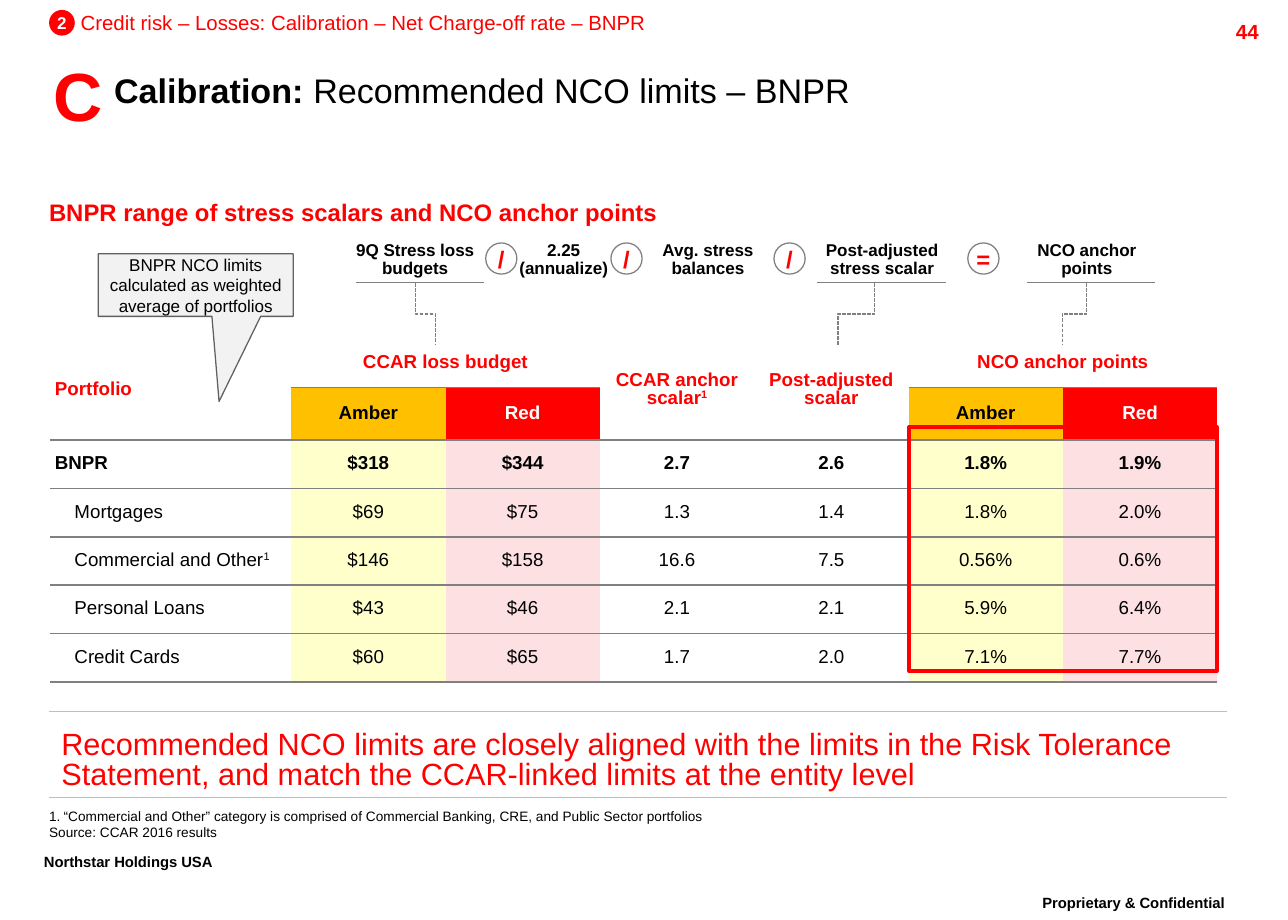
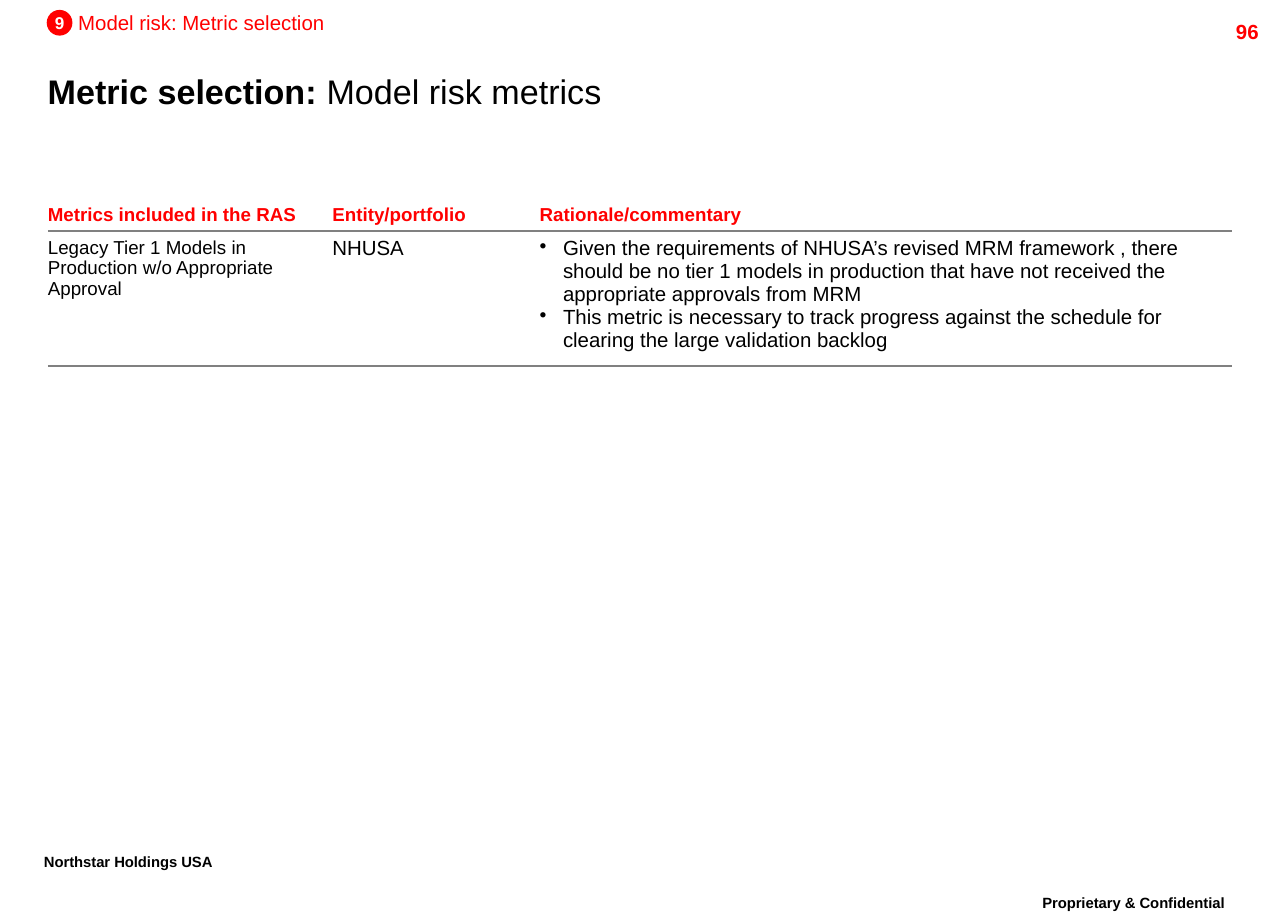
"""Build two risk slides: charge-off limits and model risk metrics."""
from lxml import etree
from pptx import Presentation
from pptx.dml.color import RGBColor
from pptx.enum.dml import MSO_LINE
from pptx.enum.shapes import MSO_CONNECTOR, MSO_SHAPE
from pptx.enum.text import MSO_ANCHOR, PP_ALIGN
from pptx.oxml.ns import qn
from pptx.util import Pt

LEFT, MID, RIGHT = PP_ALIGN.LEFT, PP_ALIGN.CENTER, PP_ALIGN.RIGHT
TOP, MIDDLE, BASE = MSO_ANCHOR.TOP, MSO_ANCHOR.MIDDLE, MSO_ANCHOR.BOTTOM
OVAL, RECT = MSO_SHAPE.OVAL, MSO_SHAPE.RECTANGLE
CALLOUT = MSO_SHAPE.RECTANGULAR_CALLOUT
STRAIGHT, ELBOW = MSO_CONNECTOR.STRAIGHT, MSO_CONNECTOR.ELBOW
DASH = MSO_LINE.SQUARE_DOT

RED = RGBColor(0xFF, 0, 0)
BLACK = RGBColor(0, 0, 0)
WHITE = RGBColor(0xFF, 0xFF, 0xFF)
AMBER = RGBColor(0xFF, 0xC0, 0)
CREAM = RGBColor(0xFF, 0xFF, 0xCC)
PINK = RGBColor(0xFC, 0xE0, 0xE2)
GREY = RGBColor(0x80, 0x80, 0x80)
SILVER = RGBColor(0xBF, 0xBF, 0xBF)
PALE = RGBColor(0xF2, 0xF2, 0xF2)
DARK = RGBColor(0x60, 0x60, 0x60)

FONT = "Arial"
TIGHT = 0.86
NO_STYLE = "{2D5ABB26-0587-4C30-8999-92F81FD0307C}"
INSET = (7.2, 3.6, 7.2, 3.6)
FLUSH = (0, 0, 0, 0)

HEADS = [
    ("Portfolio", 0, 0, 1, 0), ("CCAR loss budget", 0, 1, 0, 2),
    ("CCAR anchor scalar^1", 0, 3, 1, 3), ("Post-adjusted scalar", 0, 4, 1, 4),
    ("NCO anchor points", 0, 5, 0, 6),
]
LEVELS = [(1, "Amber", AMBER, BLACK), (2, "Red", RED, WHITE),
          (5, "Amber", AMBER, BLACK), (6, "Red", RED, WHITE)]
LIMITS = [
    ("BNPR", "$318", "$344", "2.7", "2.6", "1.8%", "1.9%"),
    ("Mortgages", "$69", "$75", "1.3", "1.4", "1.8%", "2.0%"),
    ("Commercial and Other^1", "$146", "$158", "16.6", "7.5", "0.56%", "0.6%"),
    ("Personal Loans", "$43", "$46", "2.1", "2.1", "5.9%", "6.4%"),
    ("Credit Cards", "$60", "$65", "1.7", "2.0", "7.1%", "7.7%"),
]
TINTS = [WHITE, CREAM, PINK, WHITE, WHITE, CREAM, PINK]
TERMS = [
    (192.2, 103, ["9Q Stress loss budgets"]),
    (295.2, 71.3, ["2.25", "(annualize)"]),
    (369.4, 92.2, ["Avg. stress balances"]),
    (471.6, 92.2, ["Post-adjusted stress scalar"]),
    (591.8, 92.2, ["NCO anchor points"]),
]
SIGNS = [(285.1, "/"), (358.6, "/"), (454.3, "/"), (568.1, "=")]
RULES = [208.8, 479.5, 602.6]
LINKS = [(244.1, 255.6), (513.4, 491.8), (637.9, 623.5)]
NOTES = [
    "“Commercial and Other” category is comprised of Commercial Banking, CRE, "
    "and Public Sector portfolios",
    "Source: CCAR 2016 results",
]
CLAIM = ("Recommended NCO limits are closely aligned with the limits in the "
         "Risk Tolerance Statement, and match the CCAR-linked limits at the "
         "entity level")
METRIC_HEADS = ["Metrics included in the RAS", "Entity/portfolio",
                "Rationale/commentary"]
METRICS = [
    (["Legacy Tier 1 Models in Production w/o Appropriate Approval"], 11),
    (["NHUSA"], 12),
    (["Given the requirements of NHUSA’s revised MRM framework , there should "
      "be no tier 1 models in production that have not received the "
      "appropriate approvals from MRM",
      "This metric is necessary to track progress against the schedule for "
      "clearing the large validation backlog"], 12),
]


def write(frame, paras, size, color=BLACK, bold=False, align=LEFT, gap=None):
    for i, text in enumerate(paras):
        par = frame.paragraphs[0] if i == 0 else frame.add_paragraph()
        par.alignment = align
        if gap:
            par.line_spacing = gap
        if isinstance(text, str):
            runs = [(part, bold, k) for k, part in enumerate(text.split("^"))]
        else:
            runs = [(part, heavy, 0) for part, heavy in text]
        for part, heavy, high in runs:
            run = par.add_run()
            run.text = part
            font = run.font
            font.name, font.size, font.bold = FONT, Pt(size), heavy
            font.color.rgb = color
            if high:
                font._element.set("baseline", "30000")


def bullet(par, indent, tag, **attrs):
    props = par._p.get_or_add_pPr()
    props.set("marL", str(Pt(indent)))
    props.set("indent", str(-Pt(indent)))
    etree.SubElement(props, qn(tag), attrs)


def setup(frame, inset, anchor, wrap):
    (frame.margin_left, frame.margin_top, frame.margin_right,
     frame.margin_bottom) = map(Pt, inset)
    frame.vertical_anchor, frame.word_wrap = anchor, wrap


def label(slide, at, paras, size, inset=INSET, anchor=TOP, wrap=True, **look):
    frame = slide.shapes.add_textbox(*map(Pt, at)).text_frame
    setup(frame, inset, anchor, wrap)
    write(frame, paras, size, **look)
    return frame


def shape(slide, kind, at, fill=None, line=None, width=0.75):
    item = slide.shapes.add_shape(kind, *map(Pt, at))
    item.shadow.inherit = False
    if fill is None:
        item.fill.background()
    else:
        item.fill.solid()
        item.fill.fore_color.rgb = fill
    if line is None:
        item.line.fill.background()
    else:
        item.line.color.rgb, item.line.width = line, Pt(width)
    return item


def disc(slide, at, text, size, fill, color, line=None):
    frame = shape(slide, OVAL, at, fill, line).text_frame
    setup(frame, FLUSH, MIDDLE, False)
    write(frame, [text], size, color, True, MID)


def wire(slide, kind, *ends):
    item = slide.shapes.add_connector(kind, *map(Pt, ends))
    item.line.color.rgb, item.line.width = GREY, Pt(0.75)
    etree.SubElement(item._element.spPr, qn("a:effectLst"))
    return item


def drop(slide, x1, y1, x2, y2):
    mid_x, mid_y = (x1 + x2) / 2, (y1 + y2) / 2
    half, side = (y2 - y1) / 2, (x1 - x2) / 2
    item = wire(slide, ELBOW, mid_x - half, mid_y - side,
                mid_x + half, mid_y + side)
    item.line.dash_style = DASH
    item._element.spPr.find(qn("a:xfrm")).set("rot", "5400000")


def grid(slide, x, y, cols, rows):
    frame = slide.shapes.add_table(len(rows), len(cols), Pt(x), Pt(y),
                                   Pt(sum(cols)), Pt(sum(rows)))
    table = frame.table
    table.first_row = table.horz_banding = False
    table._tbl.tblPr.find(qn("a:tableStyleId")).text = NO_STYLE
    for col, size in zip(table.columns, cols):
        col.width = Pt(size)
    for row, size in zip(table.rows, rows):
        row.height = Pt(size)
    return table


def edge(cell, sides, color, width):
    props = cell._tc.get_or_add_tcPr()
    for i, side in enumerate(sides):
        line = etree.Element(qn("a:ln" + side), w=str(Pt(width)))
        fill = etree.SubElement(line, qn("a:solidFill"))
        etree.SubElement(fill, qn("a:srgbClr"), val=str(color))
        props.insert(i, line)


def fill_cell(cell, paras, size, inset, anchor, fill=None, **look):
    (cell.margin_left, cell.margin_top, cell.margin_right,
     cell.margin_bottom) = map(Pt, inset)
    cell.vertical_anchor = anchor
    if fill is None:
        cell.fill.background()
    else:
        cell.fill.solid()
        cell.fill.fore_color.rgb = fill
    write(cell.text_frame, paras, size, **look)


def start(deck, page, mark, x, topic):
    slide = deck.slides.add_slide(deck.slide_layouts[6])
    foot = dict(bold=True, gap=TIGHT)
    label(slide, (586.8, 522, 157, 25.2), ["^Proprietary & Confidential"], 15,
          align=MID, **foot)
    label(slide, (18.7, 497.5, 137.5, 25.2), ["^Northstar Holdings USA"], 15,
          wrap=False, **foot)
    label(slide, (673.9, 7.9, 72, 17.3), [page], 12, color=RED, bold=True,
          align=RIGHT)
    label(slide, (x + 18.5, 5.8, 334, 14.4), [topic], 12, FLUSH, wrap=False,
          color=RED)
    disc(slide, (x, 5.8, 15.1, 15.1), mark, 10, RED, WHITE)
    return slide


def limits(deck):
    slide = start(deck, "44", "2", 28.8,
                  "Credit risk – Losses: Calibration – Net Charge-off rate – BNPR")
    label(slide, (67, 35.3, 643, 34.6),
          [[("Calibration: ", True), ("Recommended NCO limits – BNPR", False)]],
          20, FLUSH, MIDDLE)
    label(slide, (23.8, 28.1, 43.9, 55.4), ["C"], 40, wrap=False, color=RED,
          bold=True, align=MID)
    label(slide, (28.8, 115.9, 444.2, 17.3),
          ["BNPR range of stress scalars and NCO anchor points"], 14, FLUSH,
          color=RED, bold=True)

    table = grid(slide, 29.3, 199.4, [141.6] + [90.6] * 6,
                 [28, 31] + [28.4] * 5)
    pad = (2.9, 2.2, 2.9, 2.2)
    for text, top, left, low, right in HEADS:
        cell = table.cell(top, left)
        cell.merge(table.cell(low, right))
        fill_cell(cell, [text], 11, pad, MIDDLE, color=RED, bold=True,
                  align=MID if left else LEFT, gap=TIGHT)
    for col, text, fill, color in LEVELS:
        fill_cell(table.cell(1, col), [text], 11, pad, MIDDLE, fill,
                  color=color, bold=True, align=MID, gap=TIGHT)
    for r, row in enumerate(LIMITS):
        for c, text in enumerate(row):
            inset = FLUSH if c else (14.4 if r else 2.9, 0, 0, 0)
            fill_cell(table.cell(r + 2, c), [text], 11, inset, MIDDLE,
                      TINTS[c], bold=r == 0, align=MID if c else LEFT,
                      gap=TIGHT)
    for cell in table.iter_cells():
        edge(cell, "B", GREY, 1)

    claim = grid(slide, 28.8, 417.6, [691.2], [50.4]).cell(0, 0)
    fill_cell(claim, [CLAIM], 18, INSET, BASE, color=RED, gap=TIGHT)
    edge(claim, "TB", SILVER, 0.75)
    shape(slide, RECT, (533.5, 250.6, 180.7, 143.3), line=RED, width=2.25)

    note = shape(slide, CALLOUT, (57.6, 149, 114.5, 36.7), PALE, DARK)
    note.adjustments[0], note.adjustments[1] = 0.12, 1.86
    setup(note.text_frame, (5.8,) * 4, MIDDLE, True)
    write(note.text_frame,
          ["BNPR NCO limits calculated as weighted average of portfolios"],
          10, align=MID)

    for x, width, paras in TERMS:
        label(slide, (x, 139, width, 28.1), paras, 10, bold=True, align=MID,
              gap=TIGHT)
    for x, sign in SIGNS:
        disc(slide, (x, 142.6, 18.3, 18.3), sign, 14, WHITE, RED, GREY)
    for x in RULES:
        wire(slide, STRAIGHT, x, 165.6, x + 75.6, 165.6)
    for x1, x2 in LINKS:
        drop(slide, x1, 166, x2, 202.8)
    notes = label(slide, (28.8, 473.8, 454.3, 19.4), NOTES, 8, FLUSH, BASE)
    bullet(notes.paragraphs[0], 8.6, "a:buAutoNum", type="arabicPeriod")


def metrics(deck):
    slide = start(deck, "96", "9", 27.4, "Model risk: Metric selection")
    label(slide, (20.9, 41, 735, 28.1),
          [[("Metric selection: ", True), ("Model risk metrics", False)]], 20,
          gap=TIGHT)
    table = grid(slide, 28.1, 115.2, [163.4, 121.7, 409.7], [20.4, 79.2])
    for c, (head, (paras, size)) in enumerate(zip(METRIC_HEADS, METRICS)):
        inset = (3.6 if c else 0, 3.6, 3.6, 3.6)
        top, body = table.cell(0, c), table.cell(1, c)
        fill_cell(top, [head], 11, inset, BASE, color=RED, bold=True, gap=TIGHT)
        fill_cell(body, paras, size, inset, TOP)
        edge(top, "B", GREY, 0.75)
        edge(body, "TB", GREY, 0.75)
    for par in table.cell(1, 2).text_frame.paragraphs:
        bullet(par, 13.7, "a:buChar", char="•")


def main():
    deck = Presentation()
    deck.slide_width, deck.slide_height = Pt(756), Pt(540)
    limits(deck)
    metrics(deck)
    deck.save("out.pptx")


if __name__ == "__main__":
    main()
